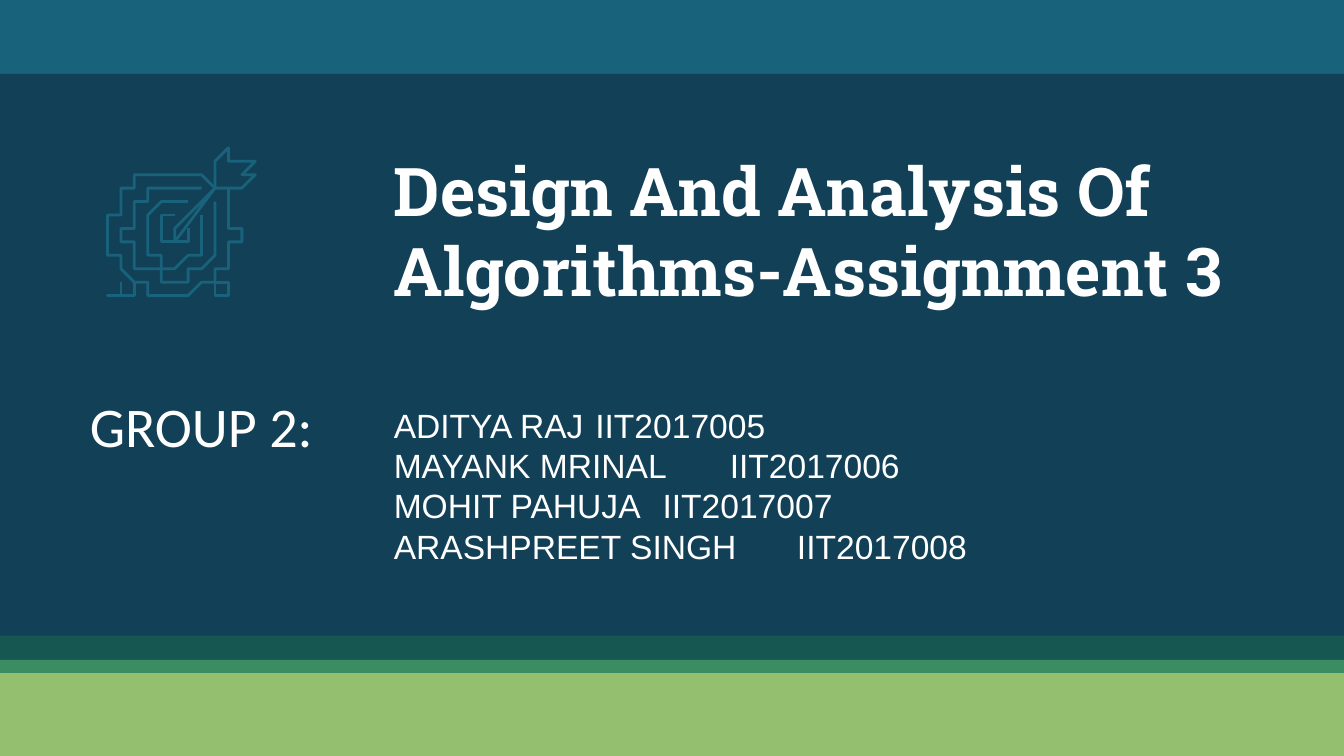
import math

import pptx
import pptx.dml.color
import pptx.enum.shapes
import pptx.enum.text
import pptx.oxml.ns
import pptx.util
from lxml import etree

COLORS = {
    "teal": "18637B",
    "navy": "124057",
    "pine": "165751",
    "green": "3B8D61",
    "lime": "94BF6E",
    "white": "FFFFFF",
}
CELL = pptx.util.Inches(0.1)
COLUMNS, ROWS = 100, 56.25

BANDS = [
    ("pine", 46.9, 2.7),
    ("teal", 0, 5.8),
    ("navy", 5.5, 41.8),
    ("green", 49.1, 1.3),
    ("lime", 50.1, ROWS - 50.1),
]
MEMBERS = [
    ("ADITYA RAJ", "IIT2017005"),
    ("MAYANK MRINAL", "IIT2017006"),
    ("MOHIT PAHUJA", "IIT2017007"),
    ("ARASHPREET SINGH", "IIT2017008"),
]
TARGET_CENTER = (12.9, 17.3)
RING_RADII = [4.65, 3.45, 2.25, 1.05]
RING_GAP = 0.6
ARROW_HALF = [
    (-0.2, -0.2), (-0.3, -0.1), (-0.3, 0.1), (-0.2, 0.3), (3, 3.5),
    (2.9, 4.3), (2.9, 4.6), (3, 5), (4.1, 5.9), (4.3, 6), (4.4, 5.8),
    (4.5, 5), (5.3, 5.7), (5.5, 5.8), (5.7, 5.7),
]


def arc(center, radius, start, end, steps=48):
    angles = [math.radians(start + (end - start) * i / steps) for i in range(steps + 1)]
    return [(center[0] + radius * math.cos(a), center[1] + radius * math.sin(a)) for a in angles]


class Deck:
    def __init__(self):
        self.deck = pptx.Presentation()
        self.deck.slide_width = int(COLUMNS * CELL)
        self.deck.slide_height = int(ROWS * CELL)
        self.page = self.deck.slides.add_slide(self.deck.slide_layouts[0])

    def color(self, name):
        return pptx.dml.color.RGBColor.from_string(COLORS[name])

    def band(self, name, row, rows):
        band = self.page.shapes.add_shape(
            pptx.enum.shapes.MSO_SHAPE.RECTANGLE,
            0, int(row * CELL), int(COLUMNS * CELL), int(rows * CELL))
        band.fill.solid()
        band.fill.fore_color.rgb = self.color(name)
        band.line.fill.background()
        band.shadow.inherit = False

    def outline(self, center, offsets, closed=False):
        points = [(center[0] + x, center[1] - y) for x, y in offsets]
        builder = self.page.shapes.build_freeform(*points[0], scale=CELL)
        builder.add_line_segments(points[1:], close=closed)
        shape = builder.convert_to_shape()
        shape.fill.background()
        shape.line.color.rgb = self.color("teal")
        shape.line.width = pptx.util.Pt(1.5)
        shape.shadow.inherit = False

    def text(self, box, grid, lines, font, size, bold=False, anchor="TOP", tab=None):
        box.left, box.top, box.width, box.height = (int(n * CELL) for n in grid)
        frame = box.text_frame
        frame.text = "\n".join(lines)
        frame.word_wrap = True
        frame.auto_size = pptx.enum.text.MSO_AUTO_SIZE.NONE
        frame.vertical_anchor = pptx.enum.text.MSO_ANCHOR[anchor]
        frame.margin_left = frame.margin_right = CELL
        frame.margin_top = frame.margin_bottom = CELL
        for para in frame.paragraphs:
            para.alignment = pptx.enum.text.PP_ALIGN.LEFT
            para.space_before = pptx.util.Pt(0)
            para.font.name = font
            para.font.size = pptx.util.Pt(size)
            para.font.bold = bold
            para.font.color.rgb = self.color("white")
            if tab:
                self.tab_stop(para, tab)

    def tab_stop(self, para, column):
        name = pptx.oxml.ns.qn
        stops = etree.Element(name("a:tabLst"))
        etree.SubElement(stops, name("a:tab"), pos=str(int(column * CELL)), algn="l")
        para.font._element.addprevious(stops)

    def title(self, grid, words):
        self.text(self.page.shapes.title, grid, [words], "Roboto Slab", 36, True, "BOTTOM")

    def roster(self, grid, members, tab):
        lines = ["\t".join(member) for member in members]
        self.text(self.page.placeholders[1], grid, lines, "Arial", 18, tab=tab)

    def label(self, grid, words):
        box = self.page.shapes.add_textbox(0, 0, 0, 0)
        self.text(box, grid, [words], "Calibri", 30)

    def target(self, center):
        for radius in RING_RADII:
            gap = math.degrees(math.asin(RING_GAP / radius))
            self.outline(center, arc((0, 0), radius, 45 + gap, 405 - gap))
        foot = [(-3.5, -3.3), *arc((-3.8, -4.4), 0.6, 135, 315, 16), (-2.6, -4)]
        for side in (1, -1):
            self.outline(center, [(side * x, y) for x, y in foot])
        mirrored = [(y, x) for x, y in ARROW_HALF[-2:0:-1]]
        self.outline(center, ARROW_HALF + mirrored, closed=True)


def main():
    slide = Deck()
    for band in BANDS:
        slide.band(*band)
    slide.title((28.3, 5, 83.3, 19.1), "Design And Analysis Of Algorithms-Assignment 3")
    slide.target(TARGET_CENTER)
    slide.label((5.7, 28.1, 31.7, 7.2), "GROUP 2:")
    slide.roster((28.3, 29.1, 66.5, 15.9), MEMBERS, tab=29.4)
    tree = slide.page.shapes._spTree
    for box in slide.page.placeholders:
        tree.append(box._element)
    slide.deck.save("out.pptx")


if __name__ == "__main__":
    main()
